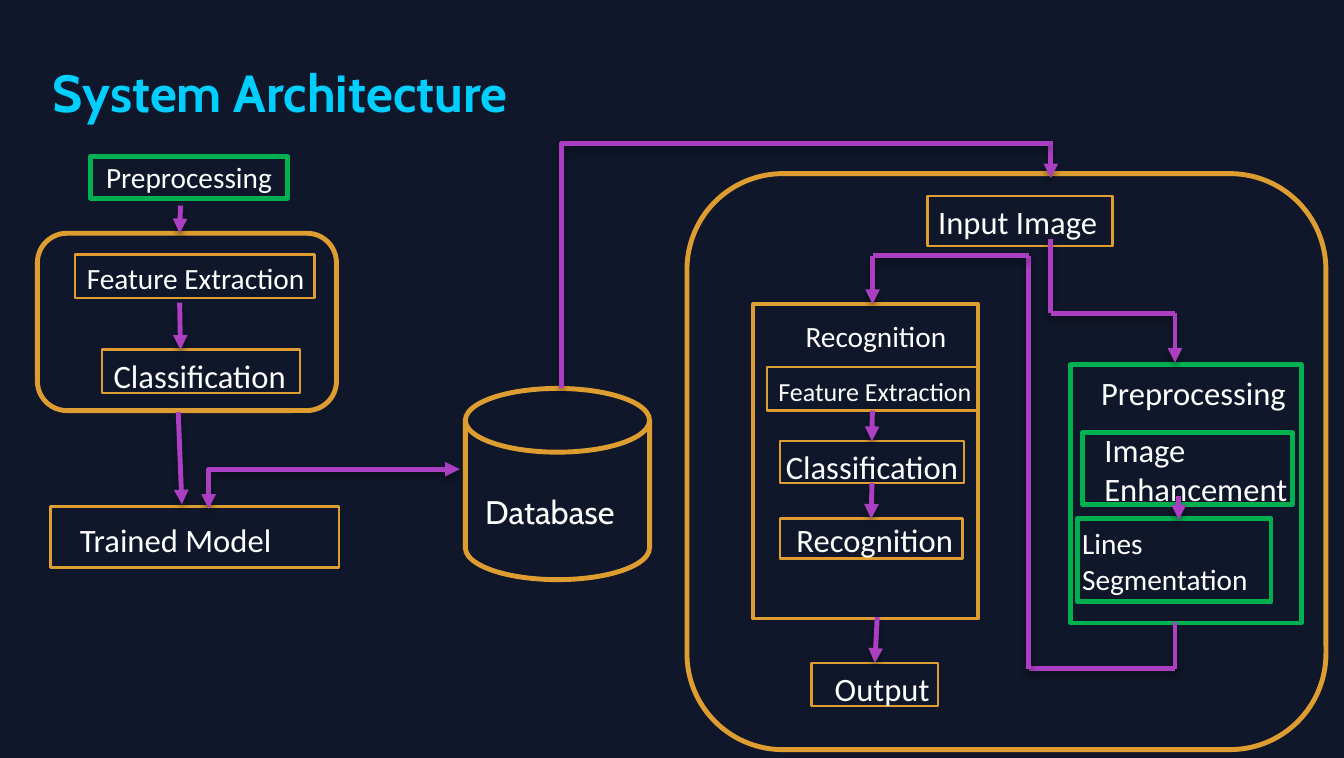
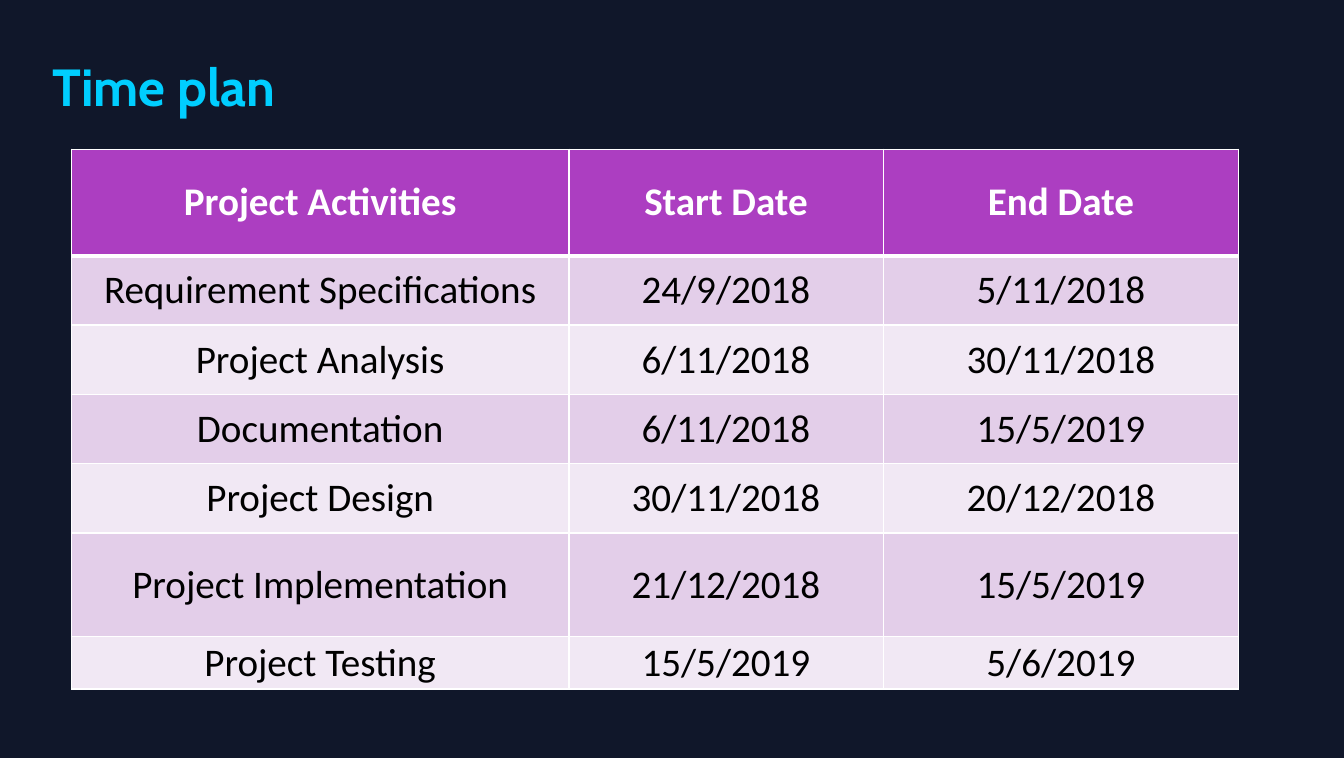
from pptx import Presentation
from pptx.dml.color import RGBColor
from pptx.enum import shapes, text
from pptx.oxml import parse_xml
from pptx.oxml.ns import nsdecls, qn
from pptx.util import Cm, Pt

NAVY = RGBColor(0x10, 0x17, 0x2A)
CYAN = RGBColor(0x00, 0xCE, 0xFF)
WHITE = RGBColor(0xFF, 0xFF, 0xFF)
BLACK = RGBColor(0x00, 0x00, 0x00)
GREEN = RGBColor(0x00, 0xB0, 0x50)
GOLD = RGBColor(0xDD, 0x9D, 0x31)
PURPLE = RGBColor(0xAC, 0x3E, 0xC1)
LILAC = RGBColor(0xE3, 0xCE, 0xE9)
PALE = RGBColor(0xF1, 0xE8, 0xF4)

SHADOW = (f'<a:effectLst {nsdecls("a")}><a:outerShdw blurRad="50800" dist="38100" '
          'dir="5400000" rotWithShape="0"><a:srgbClr val="000000">'
          '<a:alpha val="35000"/></a:srgbClr></a:outerShdw></a:effectLst>')


def write(tf, words, size, color=WHITE, font="Calibri", bold=False,
          align=text.PP_ALIGN.LEFT):
    tf.text = words
    for p in tf.paragraphs:
        p.alignment = align
        for r in p.runs:
            r.font.name, r.font.size, r.font.bold = font, Pt(size), bold
            r.font.color.rgb = color


def connect(s, start, end, ends=("tailEnd",), kind=shapes.MSO_CONNECTOR.STRAIGHT):
    c = s.shapes.add_connector(kind, *[Cm(v) for v in (*start, *end)])
    c.line.color.rgb = PURPLE
    c.line.width = Pt(3)
    ln = c.line._get_or_add_ln()
    for tag in ends:
        ln.append(parse_xml(f'<a:{tag} {nsdecls("a")} type="triangle"/>'))
    c.element.spPr.append(parse_xml(SHADOW))
    return c


# Shared page setup
prs = Presentation()
prs.slide_width, prs.slide_height = Cm(29.11), Cm(16.41)
fill = prs.slide_master.background.fill
fill.solid()
fill.fore_color.rgb = NAVY

# Slides and their titles
slides = []
for title, top in (("System Architecture", 1.3), ("Time plan", 1.17)):
    s = prs.slides.add_slide(prs.slide_layouts[6])
    tf = s.shapes.add_textbox(Cm(1.14), Cm(top), Cm(26.85), Cm(1.32)).text_frame
    tf.margin_left = tf.margin_top = tf.margin_right = tf.margin_bottom = 0
    tf.word_wrap = True
    write(tf, title, 32, CYAN, "Cabin", True)
    tf.paragraphs[0].line_spacing = 1.01
    tf.paragraphs[0].space_after = Pt(5)
    slides.append(s)
architecture, plan = slides

# Architecture: boxes
RECT = shapes.MSO_SHAPE.RECTANGLE
ROUND = shapes.MSO_SHAPE.ROUNDED_RECTANGLE
DISK = shapes.MSO_SHAPE.FLOWCHART_MAGNETIC_DISK
TOP, MIDDLE = text.MSO_ANCHOR.TOP, text.MSO_ANCHOR.MIDDLE
LEFT, CENTER = text.PP_ALIGN.LEFT, text.PP_ALIGN.CENTER
# key: shape, (x, y, w, h), line colour, line width, label, size, (left, top inset)
boxes = {
    "training": (ROUND, (0.81, 5.05, 6.48, 3.84), GOLD, 3, "", 18, (0, 0)),
    "train prep": (RECT, (1.96, 3.38, 4.27, 0.91), GREEN, 3, "Preprocessing", 18, (0, 0)),
    "train features": (RECT, (1.63, 5.51, 5.18, 0.94), GOLD, 1.5, "Feature Extraction", 18, (0.25, 0.13)),
    "train classes": (RECT, (2.21, 7.57, 4.29, 0.94), GOLD, 1.5, "Classification", 20, (0.25, 0.13)),
    "model": (RECT, (1.09, 10.97, 6.25, 1.32), GOLD, 1.5, "Trained Model", 20, (0.64, 0.28)),
    "database": (DISK, (10.08, 8.41, 3.99, 4.14), GOLD, 3, "Database", 20, (0.43, 0.86)),
    "usage": (ROUND, (14.88, 3.76, 13.84, 12.47), GOLD, 3, "", 18, (0, 0)),
    "input": (RECT, (20.09, 4.24, 4.01, 1.09), GOLD, 1.5, "Input Image", 20, (0.23, 0.13)),
    "prep": (RECT, (23.19, 7.9, 5, 5.59), GREEN, 3, "Preprocessing", 20, (0.66, 0.18)),
    "enhance": (RECT, (23.44, 9.37, 4.55, 1.55), GREEN, 3, "Image\nEnhancement", 20, (0.48, 0)),
    "lines": (RECT, (23.34, 11.23, 4.19, 1.8), GREEN, 3, "Lines\nSegmentation", 18, (0.1, 0.15)),
    "recognition": (RECT, (16.31, 6.58, 4.88, 6.81), GOLD, 2.25, "Recognition", 18, (1.14, 0.3)),
    "features": (RECT, (16.61, 7.95, 4.57, 0.94), GOLD, 1.5, "Feature Extraction", 16, (0.25, 0.18)),
    "classes": (RECT, (16.89, 9.55, 3.99, 0.91), GOLD, 1.5, "Classification", 20, (0.13, 0.13)),
    "result": (RECT, (16.89, 11.23, 3.96, 0.86), GOLD, 1.5, "Recognition", 20, (0.36, 0.03)),
    "output": (RECT, (17.58, 14.35, 2.74, 0.94), GOLD, 1.5, "Output", 20, (0.5, 0.13)),
}
placed = {}
for key, (kind, place, color, width, label, size, inset) in boxes.items():
    sp = architecture.shapes.add_shape(kind, *[Cm(v) for v in place])
    sp.shadow.inherit = False
    sp.fill.background()
    sp.line.color.rgb = color
    sp.line.width = Pt(width)
    placed[key] = sp
    if label:
        tf = sp.text_frame
        tf.word_wrap = True
        tf.margin_left, tf.margin_top = Cm(inset[0]), Cm(inset[1])
        tf.margin_right = tf.margin_bottom = 0
        tf.vertical_anchor = TOP if inset[1] else MIDDLE
        write(tf, label, size, font="Cabin" if kind == DISK else "Calibri",
              align=LEFT if inset[0] else CENTER)

# Architecture: routes of straight pieces, arrowhead on the last one
routes = [
    [(3.91, 4.45), (3.89, 5.05)],
    [(3.89, 6.55), (3.91, 7.57)],
    [(3.86, 8.92), (3.94, 10.92)],
    [(22.76, 3.05), (22.76, 3.86)],
    [(25.53, 10.74), (25.53, 11.25)],
    [(22.76, 5.18), (22.76, 6.78), (25.45, 6.78), (25.45, 7.85)],
    [(25.45, 13.46), (25.45, 14.48), (22.28, 14.48), (22.28, 5.54),
     (18.9, 5.54), (18.9, 6.58)],
]
for route in routes:
    for start, end in zip(route, route[1:]):
        connect(architecture, start, end, ("tailEnd",) if end == route[-1] else ())

# Architecture: arrows joined to boxes
for source, target in (("features", "classes"), ("classes", "result")):
    c = connect(architecture, (0, 0), (1, 1))
    c.begin_connect(placed[source], 2)
    c.end_connect(placed[target], 0)
c = connect(architecture, (19, 13.36), (18.95, 14.35))
c.end_connect(placed["output"], 0)

# Architecture: elbows that rise, then run right (a quarter-turned box)
elbows = [
    ((4.52, 11.02), (9.96, 10.16), ("headEnd", "tailEnd")),
    ((12.17, 8.41), (22.73, 3.1), ()),
]
for (x1, y1), (x2, y2), ends in elbows:
    cx, cy = (x1 + x2) / 2, (y1 + y2) / 2
    rise, run = (y1 - y2) / 2, (x2 - x1) / 2
    c = connect(architecture, (cx + rise, cy + run), (cx - rise, cy - run), ends,
                shapes.MSO_CONNECTOR.ELBOW)
    c.element.spPr.find(qn("a:xfrm")).set("rot", "5400000")
    c.element.spPr.find(qn("a:prstGeom")).set("prst", "bentConnector2")

# Time plan: table
rows = [
    ("Project Activities", "Start Date", "End Date"),
    ("Requirement Specifications", "24/9/2018", "5/11/2018"),
    ("Project Analysis", "6/11/2018", "30/11/2018"),
    ("Documentation", "6/11/2018", "15/5/2019"),
    ("Project Design", "30/11/2018", "20/12/2018"),
    ("Project Implementation", "21/12/2018", "15/5/2019"),
    ("Project Testing", "15/5/2019", "5/6/2019"),
]
widths = [10.77, 6.81, 7.7]
heights = [2.31, 1.5, 1.5, 1.5, 1.5, 2.24, 1.14]
table = plan.shapes.add_table(len(rows), len(widths), Cm(1.55), Cm(3.23),
                              Cm(sum(widths)), Cm(sum(heights))).table
for column, width in zip(table.columns, widths):
    column.width = Cm(width)
for i, (row, height) in enumerate(zip(rows, heights)):
    table.rows[i].height = Cm(height)
    header = i == 0
    for j, words in enumerate(row):
        cell = table.cell(i, j)
        cell.margin_left = cell.margin_right = 0
        cell.margin_top = cell.margin_bottom = 0
        cell.vertical_anchor = MIDDLE
        write(cell.text_frame, words, 24, WHITE if header else BLACK,
              bold=header, align=CENTER)
        for side in "LRTB":
            thick = (i, side) in ((0, "B"), (1, "T"))
            cell._tc.get_or_add_tcPr().append(parse_xml(
                f'<a:ln{side} {nsdecls("a")} w="{Pt(3 if thick else 1)}"><a:solidFill>'
                f'<a:srgbClr val="{WHITE}"/></a:solidFill></a:ln{side}>'))
        cell.fill.solid()
        cell.fill.fore_color.rgb = PURPLE if header else LILAC if i % 2 else PALE

prs.save("out.pptx")
